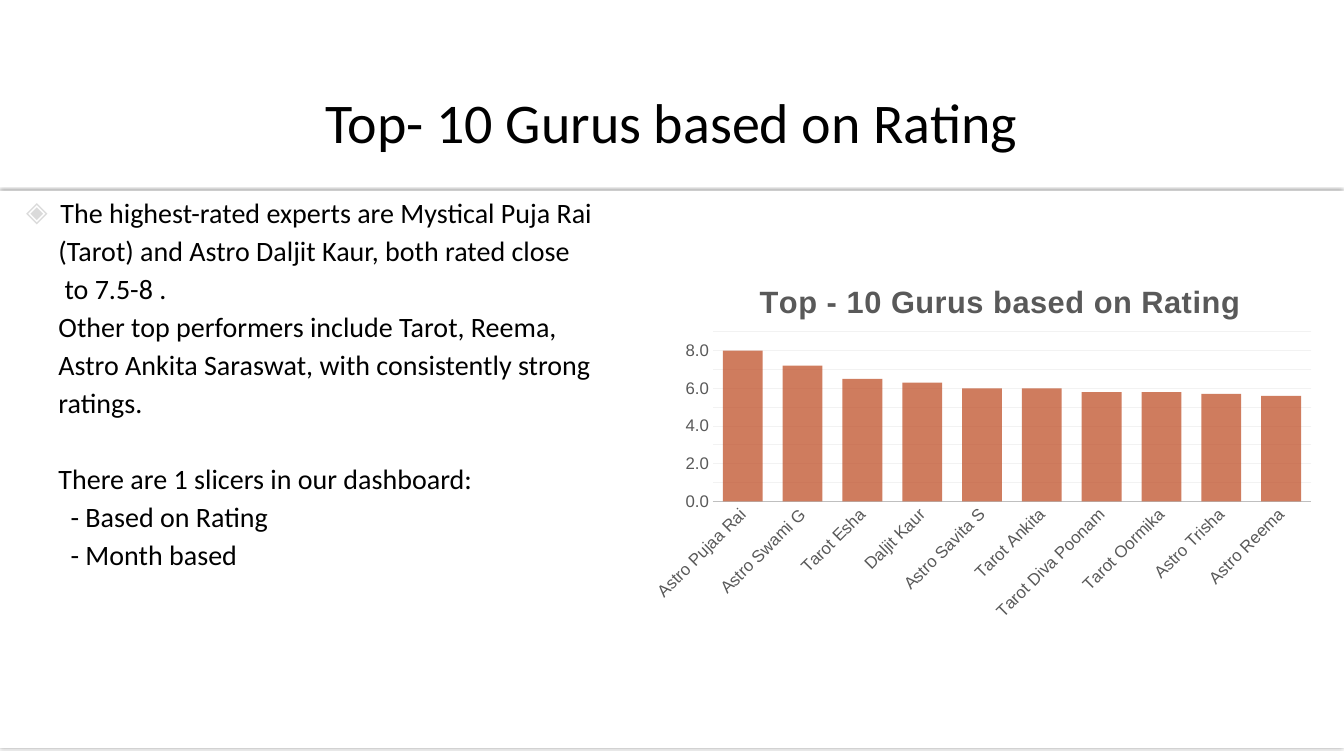
from copy import deepcopy

from lxml import etree
from pptx import Presentation
from pptx.chart.data import CategoryChartData
from pptx.dml.color import RGBColor
from pptx.enum.chart import XL_CHART_TYPE, XL_TICK_MARK
from pptx.enum.text import MSO_ANCHOR, MSO_AUTO_SIZE, PP_ALIGN
from pptx.oxml import parse_xml
from pptx.oxml.ns import nsdecls, qn
from pptx.util import Inches, Pt

TITLE = "Top- 10 Gurus based on Rating"
# (text, left margin in inches, space before in points)
LINES = [
    ("The highest-rated experts are Mystical Puja Rai", 0.5, 3.1),
    ("(Tarot) and Astro Daljit Kaur, both rated close", 0.48, 3.1),
    ("to 7.5-8 .", 0.54, 3.1),
    ("Other top performers include Tarot, Reema,", 0.48, 3.1),
    ("Astro Ankita Saraswat, with consistently strong", 0.48, 3.1),
    ("ratings.", 0.48, 3.1),
    ("There are 1 slicers in our dashboard:", 0.48, 30.6),
    ("- Based on Rating", 0.6, 3.1),
    ("- Month based", 0.6, 3.1),
]
CHART_TITLE = "Top - 10 Gurus based on Rating"
RATINGS = {
    "Astro Pujaa Rai": 8, "Astro Swami G": 7.2, "Tarot Esha": 6.5,
    "Daljit Kaur": 6.3, "Astro Savita S": 6, "Tarot Ankita": 6,
    "Tarot Diva Poonam": 5.8, "Tarot Oormika": 5.8,
    "Astro Trisha": 5.7, "Astro Reema": 5.6,
}


def rgb(value):
    return RGBColor.from_string(value)


def set_font(font, size, color, name, bold=False):
    font.size, font.name, font.bold = Pt(size), name, bold
    font.color.rgb = rgb(color)


def add_text(p, text, size=20, color="000000", name="Calibri", bold=False,
             align=PP_ALIGN.LEFT, before=0):
    p.alignment, p.space_before = align, Pt(before)
    r = p.add_run()
    r.text = text
    set_font(r.font, size, color, name, bold)
    return r


def shadow(blur, dist, angle, alpha):
    return parse_xml(
        f'<a:effectLst {nsdecls("a")}><a:outerShdw blurRad="{Pt(blur)}" '
        f'dist="{Pt(dist)}" dir="{angle * 60000}" algn="ctr" rotWithShape="0">'
        f'<a:srgbClr val="000000"><a:alpha val="{alpha * 1000}"/></a:srgbClr>'
        '</a:outerShdw></a:effectLst>')


def place(s, left, top, width, height):
    s.left, s.top = Inches(left), Inches(top)
    s.width, s.height = Inches(width), Inches(height)


def set_layout(parent, index, **values):
    for old in parent.findall(qn("c:layout")):
        parent.remove(old)
    parts = "".join(f'<c:{k} val="{v}"/>' for k, v in values.items())
    parent.insert(index, parse_xml(
        f'<c:layout {nsdecls("c")}><c:manualLayout>{parts}'
        '</c:manualLayout></c:layout>'))


prs = Presentation()
prs.slide_width, prs.slide_height = Inches(13.33), Inches(7.5)
slide = prs.slides.add_slide(prs.slide_layouts[1])
title, body = slide.placeholders[0], slide.placeholders[1]

# Title
place(title, 1, 0.67, 11.32, 1.06)
tf = title.text_frame
tf.auto_size, tf.vertical_anchor = MSO_AUTO_SIZE.NONE, MSO_ANCHOR.MIDDLE
r = add_text(tf.paragraphs[0], TITLE, size=40, align=PP_ALIGN.CENTER)
r._r.rPr.find(qn("a:solidFill")).addnext(shadow(3, 2, 45, 45))

# Body panel and its lines
place(body, 0, 1.89, 13.33, 5.53)
body.fill.solid()
body.fill.fore_color.rgb = rgb("FFFFFF")
body._element.spPr.append(shadow(2, 0, 0, 46))
tf = body.text_frame
tf.auto_size, tf.vertical_anchor = MSO_AUTO_SIZE.NONE, MSO_ANCHOR.TOP
for i, (text, margin, before) in enumerate(LINES):
    p = tf.add_paragraph() if i else tf.paragraphs[0]
    add_text(p, text, before=before)
    pPr = p._p.get_or_add_pPr()
    pPr.set("marL", str(Inches(margin)))
    pPr.set("indent", str(0 if i else Inches(-0.34)))
    if i:
        etree.SubElement(pPr, qn("a:buNone"))
    else:
        color = etree.SubElement(pPr, qn("a:buClr"))
        etree.SubElement(color, qn("a:srgbClr"), val="DADADA")
        etree.SubElement(pPr, qn("a:buChar"), char="◈")

# Rating chart
data = CategoryChartData(number_format="0.0")
data.categories = list(RATINGS)
data.add_series("Series 1", list(RATINGS.values()))
chart = slide.shapes.add_chart(
    XL_CHART_TYPE.COLUMN_STACKED, Inches(6.32), Inches(2.56),
    Inches(6.82), Inches(3.66), data).chart
set_font(chart.font, 10, "000000", "Arial")
chart.has_legend = False
chart.has_title = True
r = add_text(chart.chart_title.text_frame.paragraphs[0], CHART_TITLE,
             size=22, color="595959", name="Arial", bold=True)
r._r.rPr.set("spc", "50")

# Title and plot area positions within the chart
set_layout(chart.chart_title._element, 1,
           xMode="edge", yMode="edge", x=0.17, y=0.05)
set_layout(chart._chartSpace.chart.plotArea, 0, layoutTarget="inner",
           xMode="edge", yMode="edge", x=0.11, y=0.2, w=0.87, h=0.46)

# Columns
plot = chart.plots[0]
plot.gap_width, plot.overlap, plot.vary_by_categories = 50, 100, False
fill = plot.series[0].format.fill
fill.solid()
fill.fore_color.rgb = rgb("BC451B")
srgb = plot.series[0]._element.spPr.find(".//" + qn("a:srgbClr"))
etree.SubElement(srgb, qn("a:alpha"), val="70000")

# Axes
cat, val = chart.category_axis, chart.value_axis
for axis in (cat, val):
    axis.major_tick_mark = axis.minor_tick_mark = XL_TICK_MARK.NONE
    set_font(axis.tick_labels.font, 12, "595959", "Arial")
cat.format.line.color.rgb = rgb("BFBFBF")
cat.format.line.width = Pt(0.75)
cat._element.find(qn("c:txPr")).find(qn("a:bodyPr")).set("rot", "-2700000")
val.format.line.fill.background()
val.minimum_scale, val.maximum_scale = 0, 9
val.major_unit, val.minor_unit = 2, 1
val.tick_labels.number_format = "0.0"
val.tick_labels.number_format_is_linked = False

# Major and minor grid lines share one style
val.has_major_gridlines = True
val.major_gridlines.format.line.color.rgb = rgb("F2F2F2")
val.major_gridlines.format.line.width = Pt(0.75)
val.has_minor_gridlines = True
major = val._element.find(qn("c:majorGridlines"))
minor = val._element.find(qn("c:minorGridlines"))
minor.append(deepcopy(major.find(qn("c:spPr"))))

prs.save("out.pptx")
